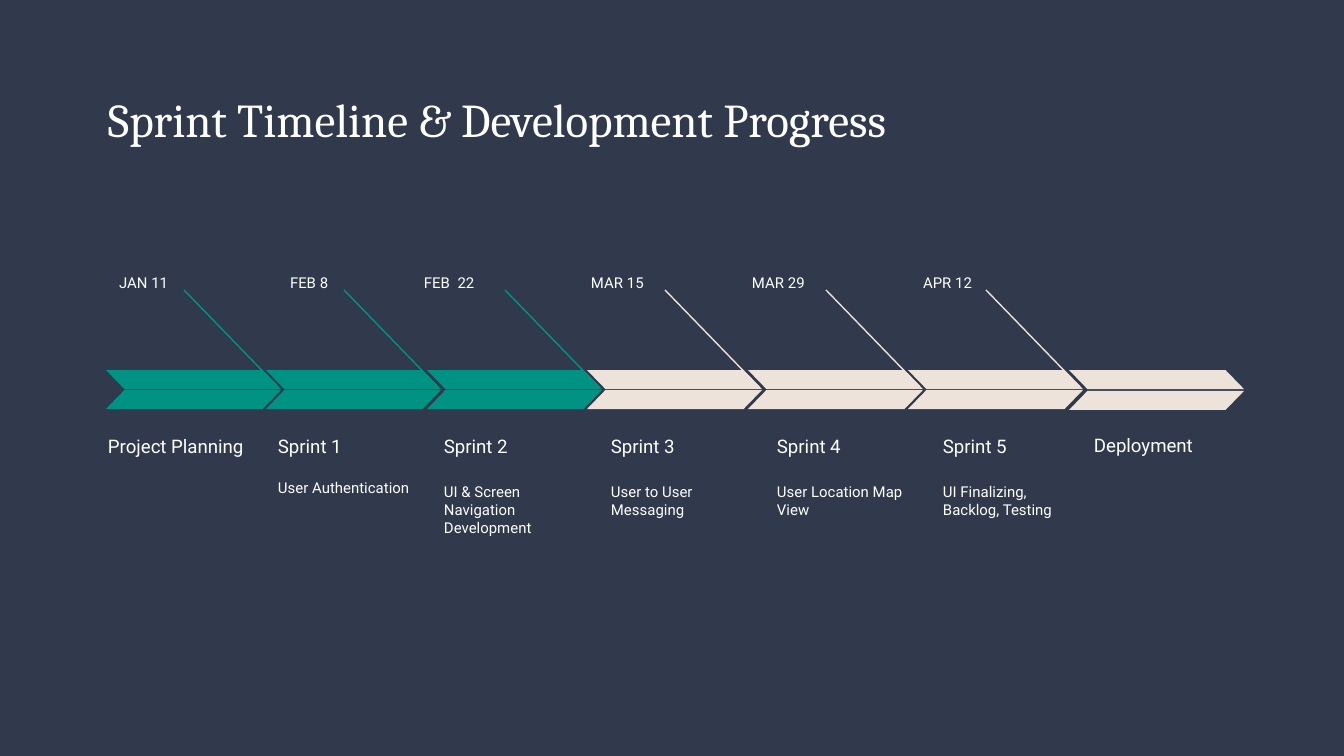
from lxml import etree
from pptx import Presentation
from pptx import util as u
from pptx.dml.color import RGBColor
from pptx.enum import shapes, text
from pptx.oxml import ns

NAVY = RGBColor(0x31, 0x39, 0x4D)
GREEN = RGBColor(0x00, 0x93, 0x84)
CREAM = RGBColor(0xED, 0xE3, 0xDA)
WHITE = RGBColor(0xFF, 0xFF, 0xFF)
INSET = 13


def px(value):
    return u.Emu(round(value * 914400 / 134.4))


def add_text(content, left, top, width, height, size, font="Roboto",
             anchor=text.MSO_ANCHOR.TOP):
    box = slide.shapes.add_textbox(px(left), px(top), px(width), px(height))
    frame = box.text_frame
    frame.text = content
    frame.word_wrap = True
    frame.vertical_anchor = anchor
    frame.margin_left = frame.margin_right = px(INSET)
    frame.margin_top = frame.margin_bottom = px(INSET)
    run = frame.paragraphs[0].runs[0]
    run.font.size = u.Pt(size)
    run.font.name = font
    run.font.color.rgb = WHITE
    return frame.paragraphs[0]


presentation = Presentation()
presentation.slide_width, presentation.slide_height = px(1344), px(756)
slide = presentation.slides.add_slide(presentation.slide_layouts[6])
slide.background.fill.solid()
slide.background.fill.fore_color.rgb = NAVY

# Title
add_text("Sprint Timeline & Development Progress", 95, 78, 1047, 91, 25.2, "Cambria")

# Dates: text, left, width
dates = [
    ("JAN 11", 106, 79),
    ("FEB 8", 277, 79),
    ("FEB  22", 411, 79),
    ("MAR 15", 578, 109),
    ("MAR 29", 739, 94),
    ("APR 12", 910, 79),
]
for date, left, width in dates:
    add_text(date, left, 265, width, 31, 8)

# Stages: name, left, top, width, description
stages = [
    ("Project Planning", 95, 410, 172, ""),
    ("Sprint 1", 265, 410, 167, "User Authentication"),
    ("Sprint 2", 431, 410, 167, "UI & Screen Navigation Development"),
    ("Sprint 3", 598, 410, 167, "User to User Messaging"),
    ("Sprint 4", 764, 410, 167, "User Location Map View"),
    ("Sprint 5", 930, 410, 167, "UI Finalizing, Backlog, Testing"),
    ("Deployment", 1081, 409, 167, ""),
]
for name, left, top, width, description in stages:
    add_text(name, left, top, width, 59, 10, anchor=text.MSO_ANCHOR.BOTTOM)
    if description:
        paragraph = add_text(description, left, 470, width, 98, 8)
        paragraph.space_after = u.Pt(16)

# Chevrons, each made of two mirrored halves, with a leader line to its date
for index in range(len(stages)):
    left = 106 + 963 * index // 6
    color = GREEN if index < 3 else CREAM
    is_last = index == len(stages) - 1

    if not is_last:
        leader = slide.shapes.add_connector(
            shapes.MSO_CONNECTOR.STRAIGHT,
            px(left + 78), px(290), px(left + 172), px(387))
        leader.line.color.rgb = color
        leader.line.width = u.Pt(0.75)
        etree.SubElement(leader._element.spPr, ns.qn("a:effectLst"))

    lower_top = 391 if is_last else 390
    for top, mirrored in ((370, True), (lower_top, False)):
        half = slide.shapes.add_shape(
            shapes.MSO_SHAPE.PARALLELOGRAM, px(left), px(top), px(175), px(19))
        half.adjustments[0] = 0.97
        half.shadow.inherit = False
        half.fill.solid()
        half.fill.fore_color.rgb = color
        half.line.fill.background()
        if mirrored:
            half._element.spPr.xfrm.set("flipH", "1")

presentation.save("out.pptx")
